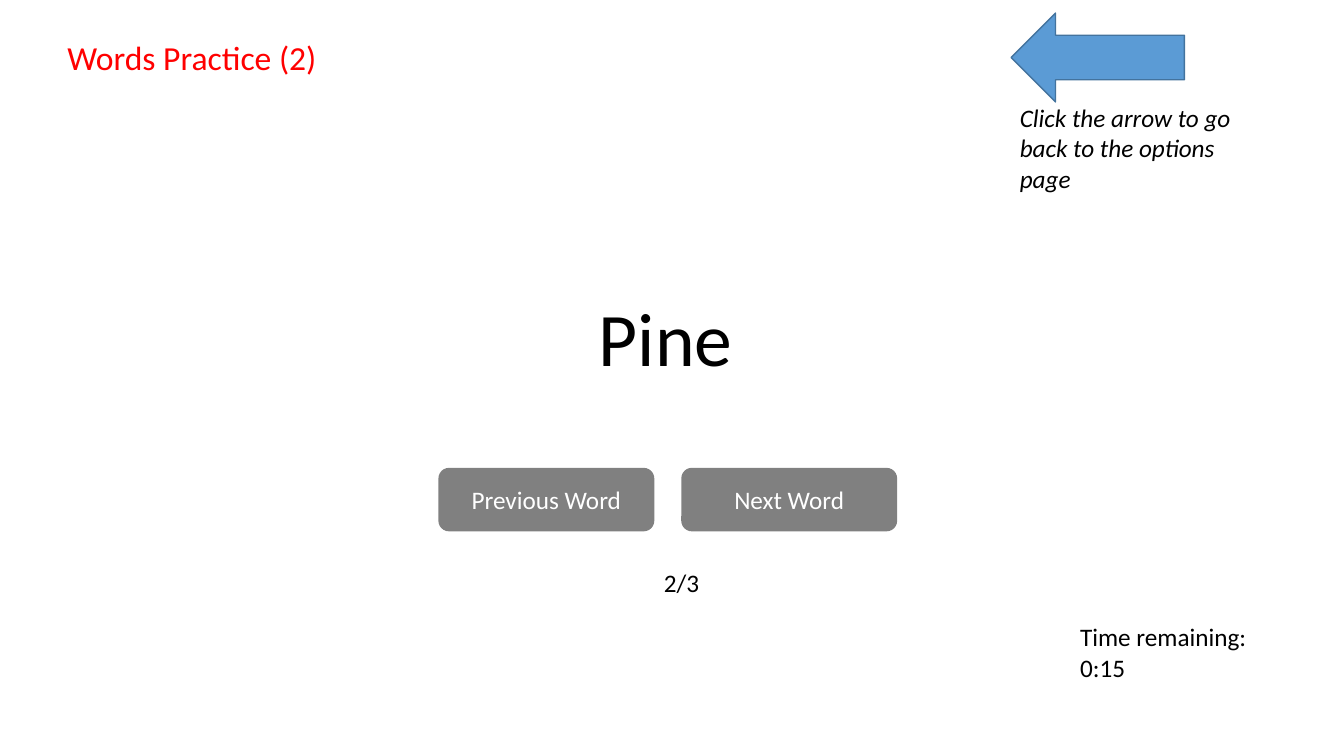
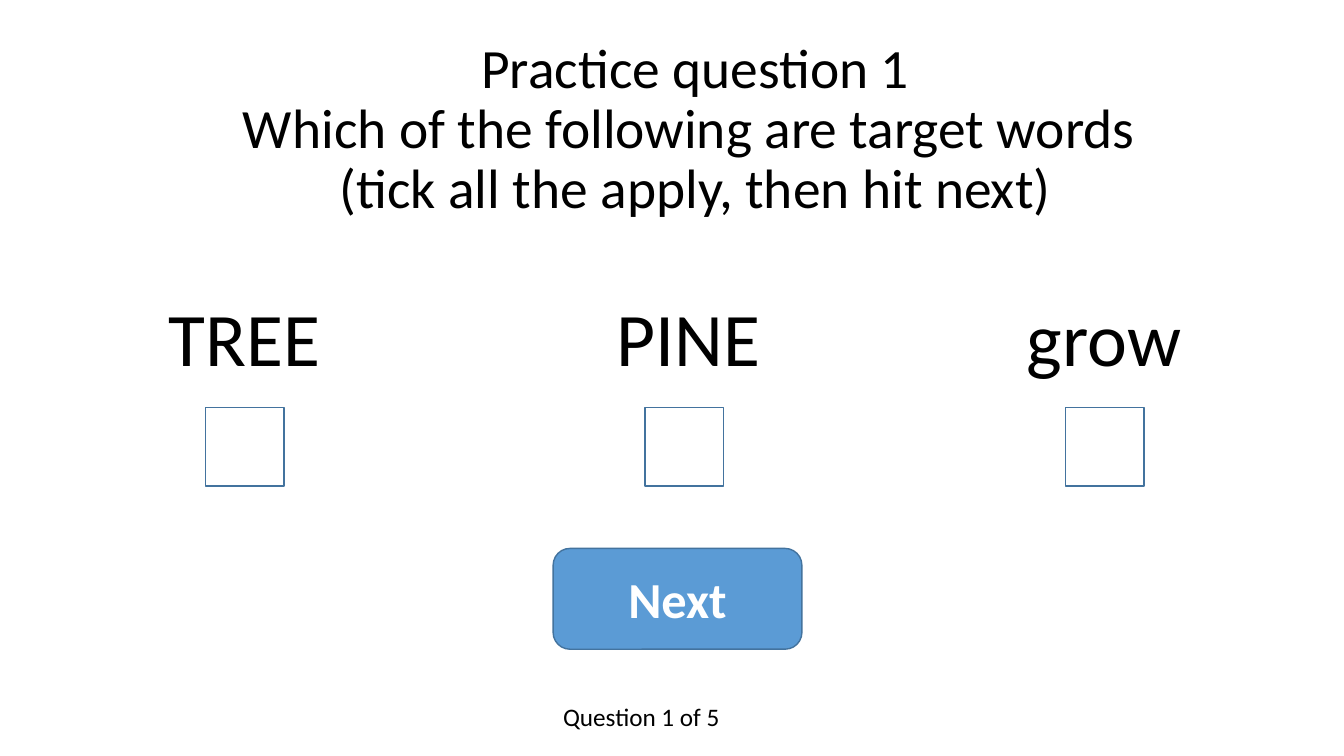
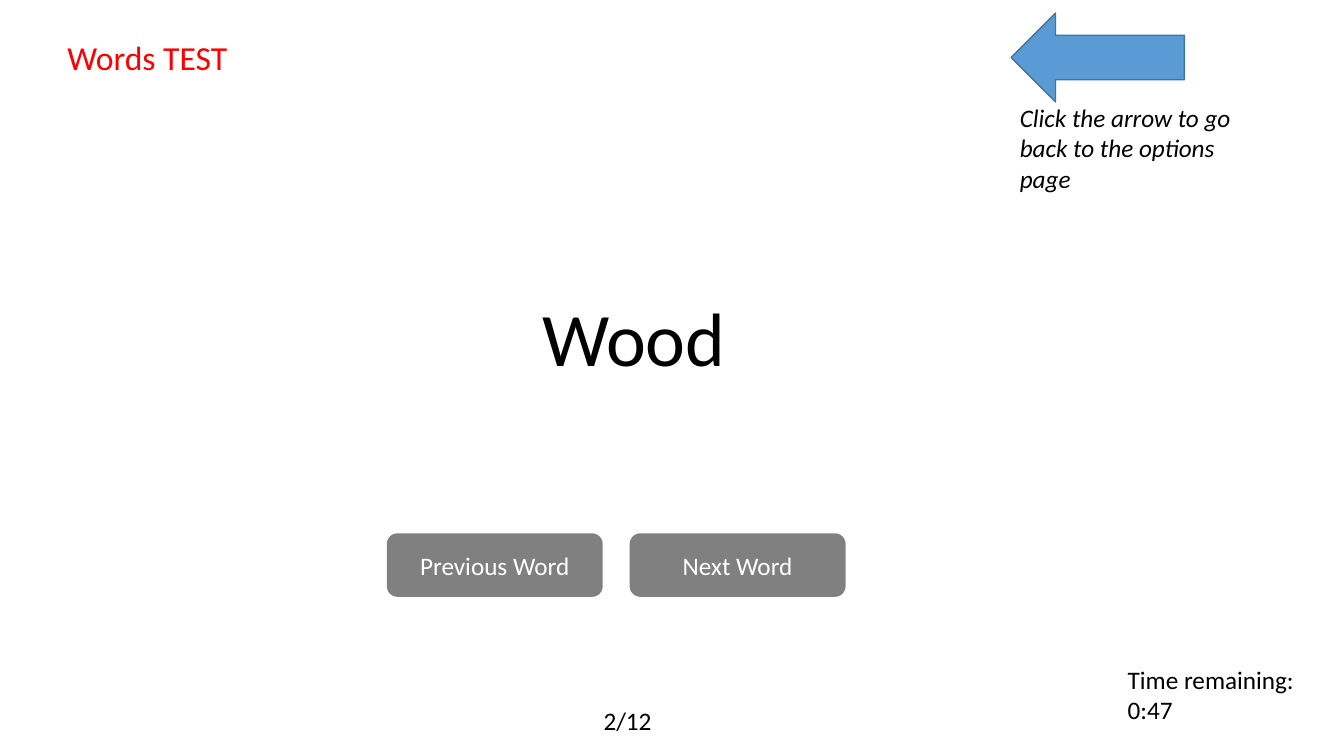
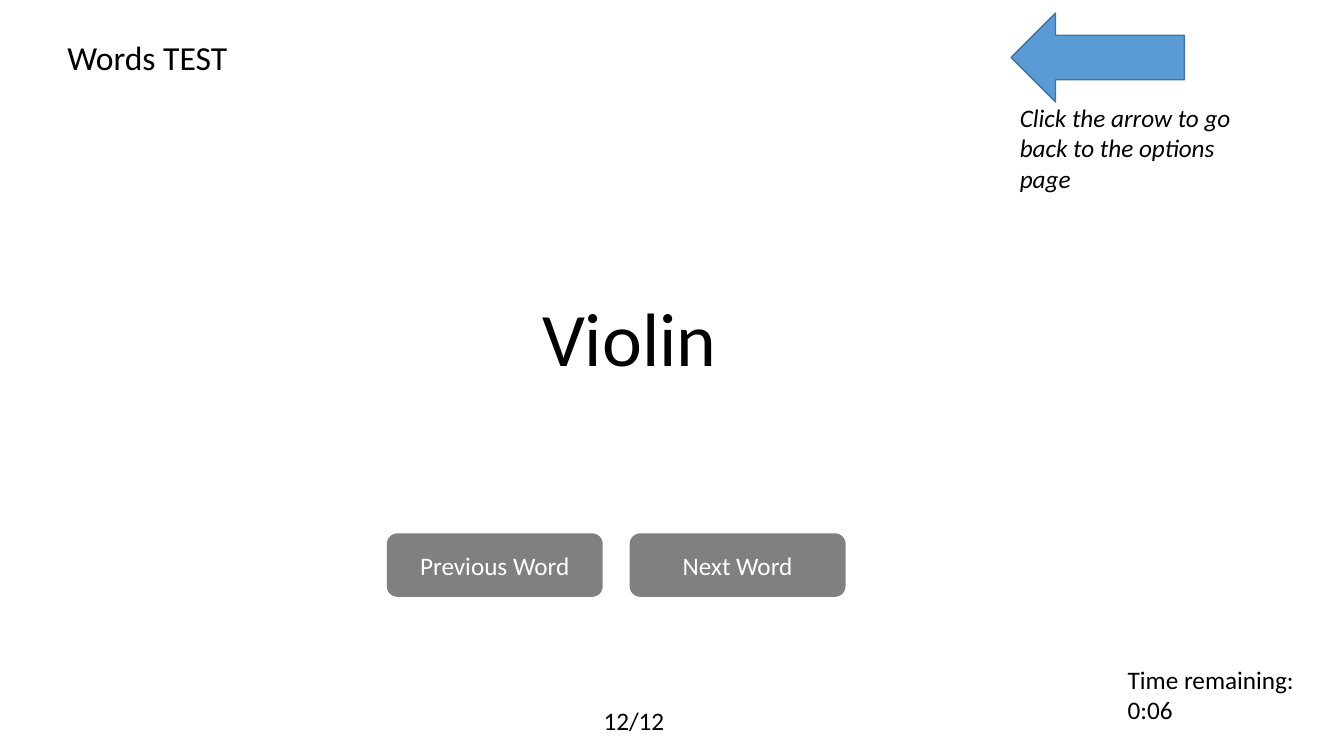
import dataclasses

import pptx
import pptx.dml.color
import pptx.enum.shapes
import pptx.enum.text
import pptx.shapes.autoshape
import pptx.slide
import pptx.util

Cm = pptx.util.Cm
Pt = pptx.util.Pt
Align = pptx.enum.text.PP_ALIGN
Anchor = pptx.enum.text.MSO_ANCHOR
Preset = pptx.enum.shapes.MSO_SHAPE
Slide = pptx.slide.Slide
Shape = pptx.shapes.autoshape.Shape

# Shared style
COLORS = {
    "ink": "000000",
    "paper": "FFFFFF",
    "alert": "FF0000",
    "accent": "5B9BD5",
    "outline": "43739E",
    "button": "808080",
}
FONT = "Calibri"
BODY, HEADING, WORD = 18, 24, 54
WORD_TOP, WORD_HEIGHT = 7.21, 2.57
LINE_HEIGHT = 1.02
BUTTON_WIDTH, BUTTON_HEIGHT, BUTTON_PITCH = 5.44, 1.6, 6.12
CHECKBOX_TOP, CHECKBOX_SIZE = 10.27, 1.98


@dataclasses.dataclass(frozen=True)
class Box:
    """Position and size in centimetres."""
    left: float
    top: float
    width: float
    height: float

    def lengths(self) -> tuple[int, int, int, int]:
        return Cm(self.left), Cm(self.top), Cm(self.width), Cm(self.height)


@dataclasses.dataclass(frozen=True)
class WordPage:
    """A slide that shows one word, with its buttons, counter and clock."""
    heading: str
    heading_color: str
    word: str
    word_left: float
    word_align: Align
    buttons_left: float
    buttons_top: float
    counter: str
    counter_box: Box
    time_left: str
    clock_box: Box


@dataclasses.dataclass(frozen=True)
class Choice:
    """An answer word and the checkbox below it."""
    word: str
    left: float
    width: float
    checkbox_left: float


def rgb(color: str) -> pptx.dml.color.RGBColor:
    return pptx.dml.color.RGBColor.from_string(COLORS[color])


def write(shape: Shape, text: str, *, size: float = BODY, color: str = "ink",
          bold: bool = False, italic: bool = False, align: Align = Align.LEFT,
          anchor: Anchor = Anchor.TOP, spacing: float = 1.0) -> None:
    """Fill a shape with text: "\\n" starts a paragraph, "\\v" breaks a line."""
    frame = shape.text_frame
    frame.word_wrap = True
    frame.vertical_anchor = anchor
    frame.text = text
    for paragraph in frame.paragraphs:
        paragraph.alignment = align
        paragraph.line_spacing = spacing
        for run in paragraph.runs:
            run.font.name = FONT
            run.font.size = Pt(size)
            run.font.bold = bold
            run.font.italic = italic
            run.font.color.rgb = rgb(color)


def add_text(slide: Slide, box: Box, text: str, **style) -> None:
    write(slide.shapes.add_textbox(*box.lengths()), text, **style)


def add_shape(slide: Slide, preset: Preset, box: Box, fill: str | None = None,
              outline: str | None = None) -> Shape:
    shape = slide.shapes.add_shape(preset, *box.lengths())
    shape.shadow.inherit = False
    if fill:
        shape.fill.solid()
        shape.fill.fore_color.rgb = rgb(fill)
    else:
        shape.fill.background()
    if outline:
        shape.line.color.rgb = rgb(outline)
        shape.line.width = Pt(1)
    else:
        shape.line.fill.background()
    return shape


def add_button(slide: Slide, box: Box, label: str, fill: str,
               outline: str | None = None, **style) -> None:
    button = add_shape(slide, Preset.ROUNDED_RECTANGLE, box, fill, outline)
    write(button, label, color="paper", align=Align.CENTER,
          anchor=Anchor.MIDDLE, **style)


def draw_word_page(slide: Slide, page: WordPage) -> None:
    # Heading and word
    add_text(slide, Box(1.45, 0.81, 7.87, 1.27), page.heading, size=HEADING,
             color=page.heading_color)
    add_text(slide, Box(page.word_left, WORD_TOP, 7.9, WORD_HEIGHT), page.word,
             size=WORD, align=page.word_align)

    # Way back to the options
    add_shape(slide, Preset.LEFT_ARROW, Box(25.48, 0.33, 4.37, 2.24),
              "accent", "outline")
    add_text(slide, Box(25.45, 2.46, 5.92, 2.57),
             "Click the arrow to go back to the options page", italic=True)

    # Buttons
    for index, label in enumerate(("Previous Word", "Next Word")):
        left = page.buttons_left + index * BUTTON_PITCH
        add_button(slide, Box(left, page.buttons_top, BUTTON_WIDTH, BUTTON_HEIGHT),
                   label, "button")

    # Progress
    add_text(slide, page.counter_box, page.counter)
    add_text(slide, page.clock_box, f"Time remaining:\n{page.time_left}")


def draw_question(slide: Slide, choices: list[Choice]) -> None:
    # Question
    add_text(slide, Box(2.92, 1.45, 29.21, 3.68),
             "Practice question 1\vWhich of the following are target words "
             "\v(tick all the apply, then hit next)",
             size=39.6, align=Align.CENTER, anchor=Anchor.MIDDLE, spacing=0.9)

    # Answers
    for choice in choices:
        add_text(slide, Box(choice.left, WORD_TOP, choice.width, WORD_HEIGHT),
                 choice.word, size=WORD, align=Align.CENTER)
        add_shape(slide, Preset.RECTANGLE,
                  Box(choice.checkbox_left, CHECKBOX_TOP, CHECKBOX_SIZE, CHECKBOX_SIZE),
                  outline="outline")

    # Next button and progress
    add_button(slide, Box(13.94, 13.82, 6.27, 2.54), "Next", "accent", "outline",
               size=36, bold=True)
    add_text(slide, Box(13.94, 17.55, 5.11, LINE_HEIGHT), "Question 1 of 5")


# Content
PRACTICE = WordPage(
    "Words Practice (2)", "alert", "Pine", 12.83, Align.CENTER, 11.05, 11.79,
    "2/3", Box(16.48, 14.17, 2.64, LINE_HEIGHT),
    "0:15", Box(26.97, 15.54, 5.69, 1.8))
TEST_EARLY = WordPage(
    "Words TEST", "alert", "Wood", 13.41, Align.LEFT, 9.75, 13.44,
    "2/12", Box(14.96, 17.65, 1.85, LINE_HEIGHT),
    "0:47", Box(28.17, 16.61, 5.69, 1.8))
TEST_LAST = dataclasses.replace(
    TEST_EARLY, heading_color="ink", word="Violin", counter="12/12",
    counter_box=Box(14.96, 17.65, 2.21, LINE_HEIGHT), time_left="0:06")
CHOICES = [
    Choice("TREE", 1.37, 9.6, 5.18),
    Choice("PINE", 14.68, 5.36, 16.26),
    Choice("grow", 24.51, 6.63, 26.85),
]


def main() -> None:
    deck = pptx.Presentation()
    deck.slide_width, deck.slide_height = Cm(33.87), Cm(19.05)
    blank = deck.slide_layouts[6]

    draw_word_page(deck.slides.add_slide(blank), PRACTICE)
    draw_question(deck.slides.add_slide(blank), CHOICES)
    for page in (TEST_EARLY, TEST_LAST):
        draw_word_page(deck.slides.add_slide(blank), page)
    deck.save("out.pptx")


if __name__ == "__main__":
    main()
